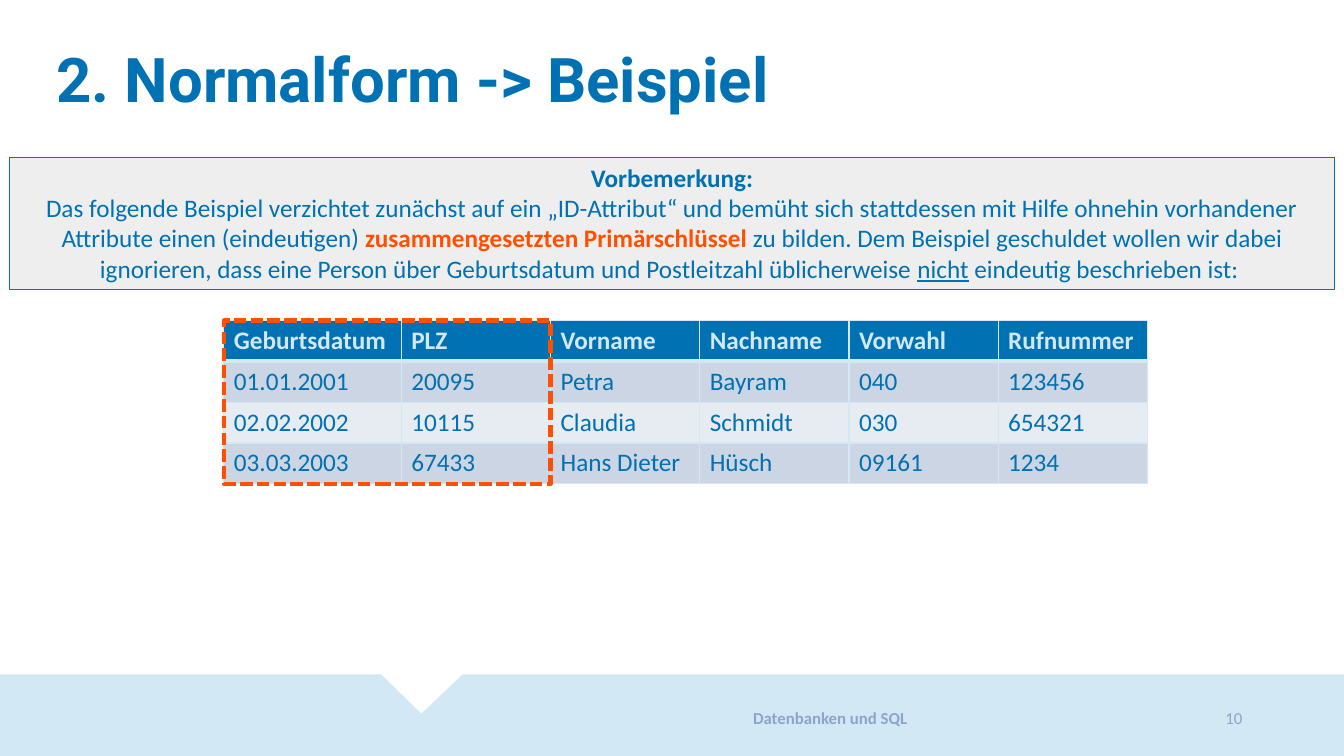
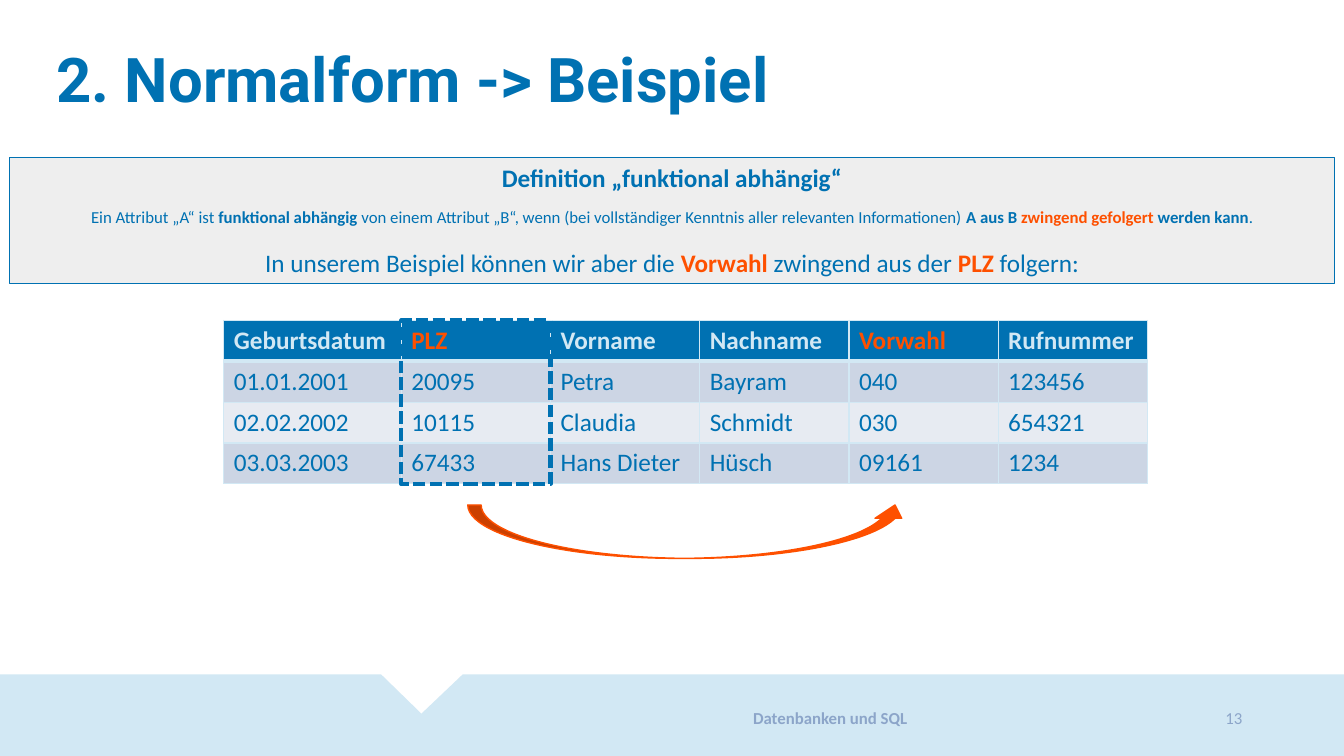
from pptx import Presentation, util as u
from pptx.dml.color import RGBColor
from pptx.enum import dml, shapes, text
from pptx.oxml import parse_xml
from pptx.oxml.ns import nsdecls

W, H = 13.33, 7.5
BLUE, ORANGE, PALE, GREY, MUTED = "0071B2", "FE5000", "D2E8F4", "EEEEEE", "8CA5C9"
ROW_FILLS = ("CCD5E4", "E7EBF2")
BODY, HEADING = "Calibri", "Roboto"
LEFT, CENTER, RIGHT = text.PP_ALIGN.LEFT, text.PP_ALIGN.CENTER, text.PP_ALIGN.RIGHT

NOTE_BOX = (0.09, 1.56, 13.15, 1.31)
DEFINITION_BOX = (0.09, 1.56, 13.15, 1.25)
TABLE_LEFT, TABLE_TOP, ROW_H = 2.22, 3.18, 0.405
COLS = [1.76] + [1.48] * 5
PLZ, VORWAHL = 1, 4
ROWS = [
    ["Geburtsdatum", "PLZ", "Vorname", "Nachname", "Vorwahl", "Rufnummer"],
    ["01.01.2001", "20095", "Petra", "Bayram", "040", "123456"],
    ["02.02.2002", "10115", "Claudia", "Schmidt", "030", "654321"],
    ["03.03.2003", "67433", "Hans Dieter", "Hüsch", "09161", "1234"],
]
TABLE_H = ROW_H * len(ROWS)

# Paragraphs: (size, space before, runs); run marks: b bold, u underlined, o orange
NOTE = [
    (18, 0, [("Vorbemerkung:", "b")]),
    (18, 0, [
        ("Das folgende Beispiel verzichtet zunächst auf ein „ID-Attribut“ und bemüht sich "
         "stattdessen mit Hilfe ohnehin vorhandener Attribute einen (eindeutigen) ", ""),
        ("zusammengesetzten Primärschlüssel ", "bo"),
        ("zu bilden. Dem Beispiel geschuldet wollen wir dabei ignorieren, dass eine Person "
         "über Geburtsdatum und Postleitzahl üblicherweise ", ""),
        ("nicht", "u"),
        (" eindeutig beschrieben ist: ", ""),
    ]),
]
DEFINITION = [
    (18, 0, [("Definition „funktional abhängig“", "b")]),
    (12, 10, [
        ("Ein Attribut „A“ ist ", ""),
        ("funktional abhängig ", "b"),
        ("von einem Attribut „B“, wenn (bei vollständiger Kenntnis aller relevanten "
         "Informationen) ", ""),
        ("A aus B ", "b"),
        ("zwingend gefolgert ", "bo"),
        ("werden kann", "b"),
        (".", ""),
    ]),
    (18, 14.5, [
        ("In unserem Beispiel können wir aber die ", ""),
        ("Vorwahl", "bo"),
        (" zwingend aus der ", ""),
        ("PLZ", "bo"),
        (" folgern:", ""),
    ]),
]


def rgb(color):
    return RGBColor.from_string(color)


def inches(*values):
    return [u.Inches(v) for v in values]


def add_run(p, content, size, color=BLUE, bold=False, underline=False, font=BODY):
    r = p.add_run()
    r.text = content
    r.font.name, r.font.size = font, u.Pt(size)
    r.font.bold, r.font.underline = bold, underline
    r.font.color.rgb = rgb(color)


def style(sp, fill=None, line=None, width=1):
    sp.shadow.inherit = False
    if fill:
        sp.fill.solid()
        sp.fill.fore_color.rgb = rgb(fill)
    else:
        sp.fill.background()
    if line:
        sp.line.color.rgb = rgb(line)
        sp.line.width = u.Pt(width)
    else:
        sp.line.fill.background()


def add_label(s, box, content, size, align=LEFT, **font):
    tf = s.shapes.add_textbox(*inches(*box)).text_frame
    tf.word_wrap = True
    tf.vertical_anchor = text.MSO_ANCHOR.MIDDLE
    p = tf.paragraphs[0]
    p.alignment = align
    add_run(p, content, size, **font)
    return p


def add_band(s, top=6.69, notch=(3.78, 4.18, 4.59), depth=0.39):
    """Footer band with a notch in its upper edge."""
    left, tip, right = notch
    points = [(left, top), (tip, top + depth), (right, top), (W, top), (W, H), (0, H)]
    fb = s.shapes.build_freeform(*inches(0, top))
    fb.add_line_segments([inches(*pt) for pt in points], close=True)
    style(fb.convert_to_shape(), PALE)


def add_base_slide(prs, number):
    s = prs.slides.add_slide(prs.slide_layouts[6])
    add_band(s)
    title = add_label(s, (0.46, 0.42, 8.2, 0.79), "2. Normalform -> Beispiel", 44,
                      bold=True, font=HEADING)
    title.line_spacing = 0.9
    add_label(s, (5.87, 6.9, 4.73, 0.45), "Datenbanken und SQL", 12, CENTER,
              color=MUTED, bold=True)
    add_label(s, (10.6, 6.9, 1.82, 0.45), str(number), 12, RIGHT, color=MUTED)
    return s


def add_text_panel(s, box, paragraphs):
    sp = s.shapes.add_shape(shapes.MSO_SHAPE.RECTANGLE, *inches(*box))
    style(sp, GREY, BLUE, 0.75)
    tf = sp.text_frame
    tf.word_wrap = True
    tf.vertical_anchor = text.MSO_ANCHOR.TOP
    for i, (size, before, runs) in enumerate(paragraphs):
        p = tf.add_paragraph() if i else tf.paragraphs[0]
        p.alignment = CENTER
        if before:
            p.space_before = u.Pt(before)
        for content, marks in runs:
            add_run(p, content, size, ORANGE if "o" in marks else BLUE,
                    "b" in marks, "u" in marks)


def set_borders(cell, **widths):
    tcPr = cell._tc.get_or_add_tcPr()
    for side in "LRTB":
        tcPr.append(parse_xml(
            f'<a:ln{side} {nsdecls("a")} w="{u.Pt(widths.get(side, 1))}"><a:solidFill>'
            f'<a:srgbClr val="{PALE}"/></a:solidFill></a:ln{side}>'))


def add_person_table(s, marked=()):
    """Person table; the headers of the marked columns are orange."""
    box = inches(TABLE_LEFT, TABLE_TOP, sum(COLS), TABLE_H)
    table = s.shapes.add_table(len(ROWS), len(COLS), *box).table
    table.horz_banding = False
    for column, width in zip(table.columns, COLS):
        column.width = u.Inches(width)
    for i, row in enumerate(ROWS):
        header = i == 0
        table.rows[i].height = u.Inches(ROW_H)
        for j, content in enumerate(row):
            cell = table.cell(i, j)
            set_borders(cell, T=3 if i == 1 else 1, B=3 if header else 1)
            cell.fill.solid()
            cell.fill.fore_color.rgb = rgb(BLUE if header else ROW_FILLS[(i - 1) % 2])
            color = BLUE
            if header:
                color = ORANGE if j in marked else PALE
            add_run(cell.text_frame.paragraphs[0], content, 18, color, header)


def column_left(j):
    return TABLE_LEFT + sum(COLS[:j])


def add_column_frame(s, first, last, color):
    left = column_left(first)
    sp = s.shapes.add_shape(shapes.MSO_SHAPE.RECTANGLE, *inches(
        left, TABLE_TOP, column_left(last + 1) - left, TABLE_H))
    style(sp, line=color, width=3)
    sp.line.dash_style = dml.MSO_LINE.SQUARE_DOT


def add_dependency_arrow(s, source, target):
    """Curved arrow below the table from one column to another."""
    start, end = (column_left(j) + COLS[j] / 2 for j in (source, target))
    sp = s.shapes.add_shape(shapes.MSO_SHAPE.CURVED_UP_ARROW, *inches(
        start - 0.08, TABLE_TOP + TABLE_H + 0.21, end - start - 0.07, 0.53))
    style(sp, ORANGE, ORANGE)


def add_key_slide(prs):
    s = add_base_slide(prs, 10)
    add_text_panel(s, NOTE_BOX, NOTE)
    add_person_table(s)
    add_column_frame(s, 0, PLZ, ORANGE)


def add_dependency_slide(prs):
    s = add_base_slide(prs, 13)
    add_person_table(s, (PLZ, VORWAHL))
    add_column_frame(s, PLZ, PLZ, BLUE)
    add_text_panel(s, DEFINITION_BOX, DEFINITION)
    add_dependency_arrow(s, PLZ, VORWAHL)


def main():
    prs = Presentation()
    prs.slide_width, prs.slide_height = inches(W, H)
    add_key_slide(prs)
    add_dependency_slide(prs)
    prs.save("out.pptx")


if __name__ == "__main__":
    main()
